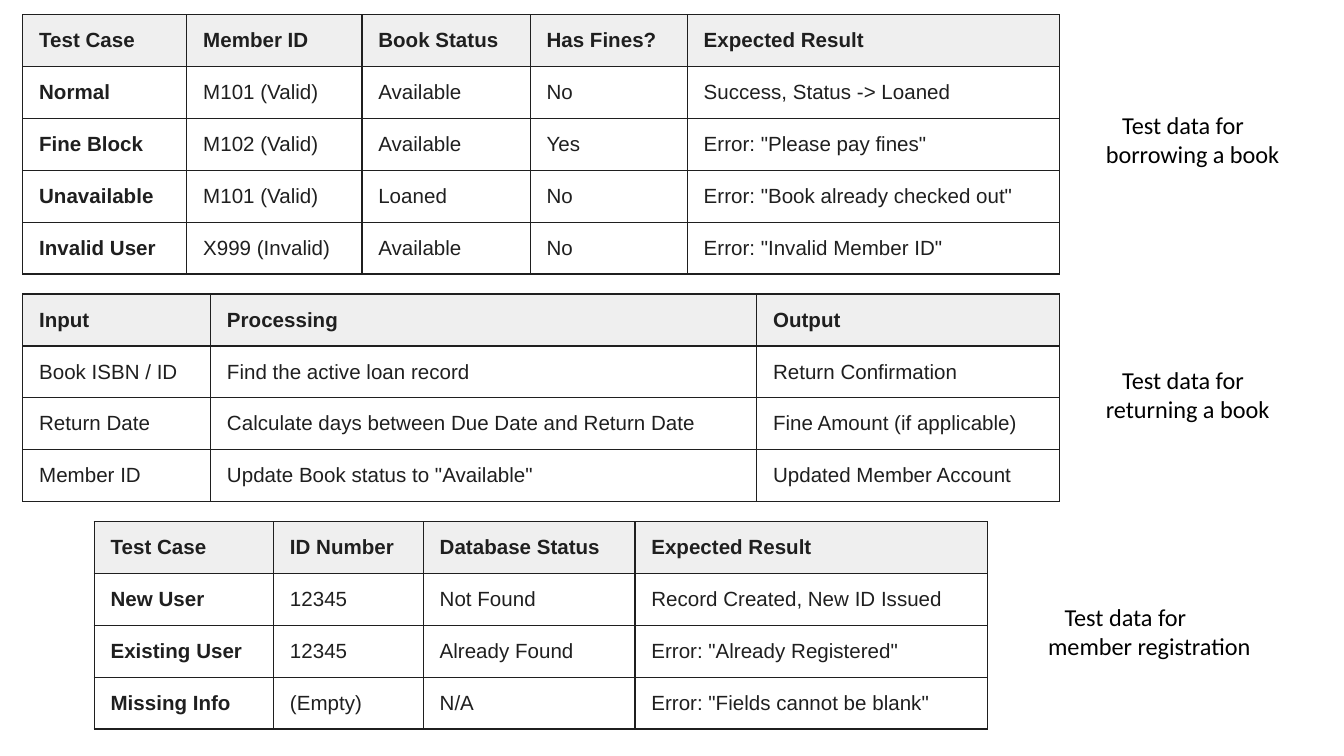
import pptx
import pptx.dml.color
import pptx.oxml
import pptx.oxml.ns
import pptx.util
from pptx.util import Cm

INK = pptx.dml.color.RGBColor(0x1F, 0x1F, 0x1F)
HEADER_FILL = pptx.dml.color.RGBColor(0xEF, 0xEF, 0xEF)
BLACK = pptx.dml.color.RGBColor(0, 0, 0)
ROW_HEIGHT = Cm(0.98)
BORDER_WIDTH = pptx.util.Pt(0.83)

BORROWING = [
    ["Test Case", "Member ID", "Book Status", "Has Fines?", "Expected Result"],
    ["Normal", "M101 (Valid)", "Available", "No", "Success, Status -> Loaned"],
    ["Fine Block", "M102 (Valid)", "Available", "Yes", 'Error: "Please pay fines"'],
    ["Unavailable", "M101 (Valid)", "Loaned", "No", 'Error: "Book already checked out"'],
    ["Invalid User", "X999 (Invalid)", "Available", "No", 'Error: "Invalid Member ID"'],
]
RETURNING = [
    ["Input", "Processing", "Output"],
    ["Book ISBN / ID", "Find the active loan record", "Return Confirmation"],
    ["Return Date", "Calculate days between Due Date and Return Date", "Fine Amount (if applicable)"],
    ["Member ID", 'Update Book status to "Available"', "Updated Member Account"],
]
REGISTRATION = [
    ["Test Case", "ID Number", "Database Status", "Expected Result"],
    ["New User", "12345", "Not Found", "Record Created, New ID Issued"],
    ["Existing User", "12345", "Already Found", 'Error: "Already Registered"'],
    ["Missing Info", "(Empty)", "N/A", 'Error: "Fields cannot be blank"'],
]


def format_text(para, font_name, size, color, bold=False):
    for span in para.runs:
        span.font.name = font_name
        span.font.size = pptx.util.Pt(size)
        span.font.color.rgb = color
        span.font.bold = bold


def add_borders(cell):
    properties = cell._tc.get_or_add_tcPr()
    for side in ("lnL", "lnR", "lnT", "lnB"):
        properties.append(pptx.oxml.parse_xml(
            f'<a:{side} {pptx.oxml.ns.nsdecls("a")} w="{BORDER_WIDTH}">'
            f'<a:solidFill><a:srgbClr val="{INK}"/></a:solidFill></a:{side}>'
        ))


def fill_cell(cell, text, is_header, bold):
    cell.margin_left = cell.margin_right = Cm(0.31)
    cell.margin_top = cell.margin_bottom = Cm(0.21)
    add_borders(cell)
    if is_header:
        cell.fill.solid()
        cell.fill.fore_color.rgb = HEADER_FILL
    else:
        cell.fill.background()
    cell.text_frame.text = text
    para = cell.text_frame.paragraphs[0]
    para.line_spacing = 1.15
    format_text(para, "Arial", 11, INK, bold)


def add_data_table(page, left, top, widths, rows, bold_labels):
    frame = page.shapes.add_table(
        len(rows), len(widths), Cm(left), Cm(top), Cm(sum(widths)), ROW_HEIGHT * len(rows)
    )
    table = frame.table
    table.horz_banding = False
    for column, width in zip(table.columns, widths):
        column.width = Cm(width)
    for row_index, texts in enumerate(rows):
        table.rows[row_index].height = ROW_HEIGHT
        is_header = row_index == 0
        for column_index, text in enumerate(texts):
            bold = is_header or (bold_labels and column_index == 0)
            fill_cell(table.cell(row_index, column_index), text, is_header, bold)


def add_caption(page, left, top, subject):
    box = page.shapes.add_textbox(Cm(left), Cm(top), Cm(5.03), Cm(1.75))
    frame = box.text_frame
    frame.word_wrap = True
    frame.margin_left = frame.margin_right = Cm(0.25)
    frame.margin_top = frame.margin_bottom = Cm(0.25)
    frame.text = f"Test data for\n{subject}"
    frame.paragraphs[0]._p.get_or_add_pPr().set("marL", str(Cm(0.31)))
    for para in frame.paragraphs:
        format_text(para, "Calibri", 13, BLACK)


def main():
    deck = pptx.Presentation()
    deck.slide_width = Cm(25.4)
    deck.slide_height = Cm(14.29)
    page = deck.slides.add_slide(deck.slide_layouts[6])

    add_data_table(page, 0.43, 0.28, [3.1, 3.31, 3.18, 2.97, 7.03], BORROWING, True)
    add_data_table(page, 0.43, 5.56, [3.55, 10.32, 5.72], RETURNING, False)
    add_data_table(page, 1.78, 9.86, [3.39, 2.83, 4, 6.66], REGISTRATION, True)

    add_caption(page, 20.65, 1.83, "borrowing a book")
    add_caption(page, 20.65, 6.65, "returning a book")
    add_caption(page, 19.56, 11.13, "member registration")

    deck.save("out.pptx")


if __name__ == "__main__":
    main()
